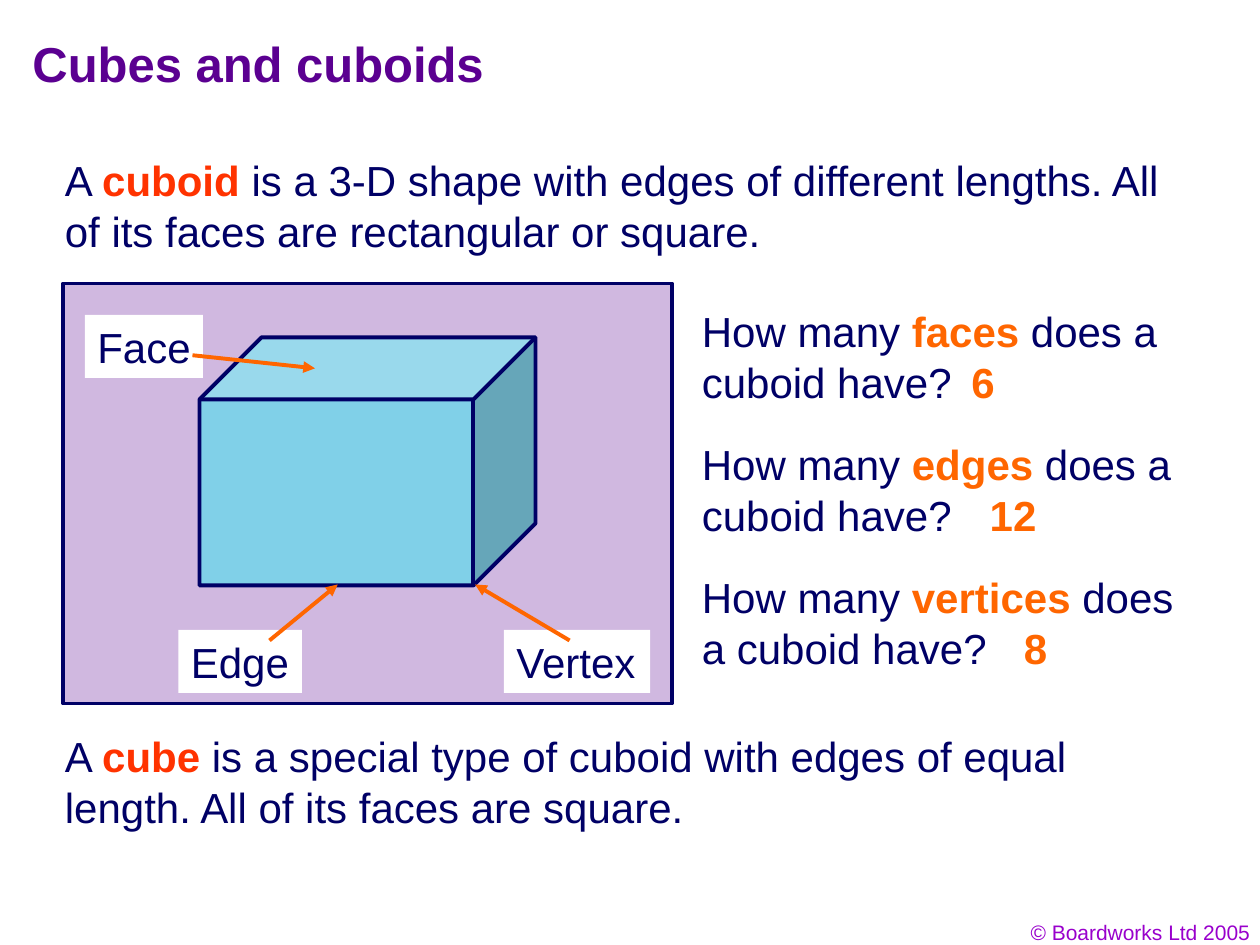
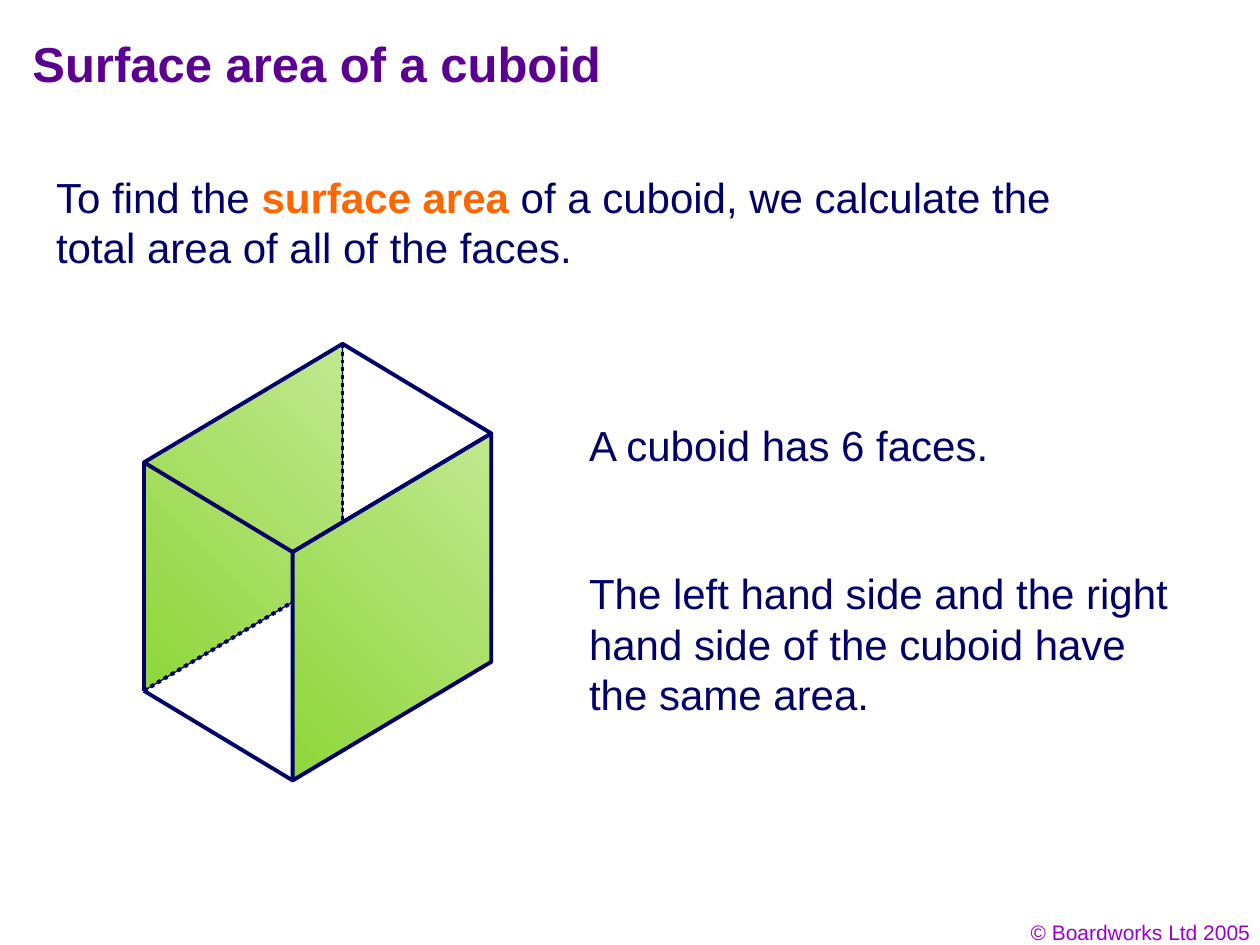
import pptx
import pptx.dml.color
import pptx.enum.dml
import pptx.enum.shapes
import pptx.enum.text
import pptx.oxml
import pptx.oxml.ns
import pptx.util
from pptx.util import Pt

NAVY = "000066"
PURPLE = "5B0091"
VIOLET = "9900CC"
RED = "FF3300"
ORANGE = "FF6600"
LILAC = "D0B8E0"
SKY = "80D0E8"
WHITE = "FFFFFF"
LIGHT_GREEN = "C0E890"
GREEN = "8FD63A"

ALIGN = pptx.enum.text.PP_ALIGN
ANCHOR = pptx.enum.text.MSO_ANCHOR
SHAPE = pptx.enum.shapes.MSO_SHAPE


def rgb(value):
    return pptx.dml.color.RGBColor.from_string(value)


def add_text(s, text, x, y, w, h, size=24, color=NAVY, bold=False, accent=ORANGE,
             align=ALIGN.LEFT, anchor=ANCHOR.TOP, wrap=True, fill=None):
    """Add a text block; words between asterisks are bold in the accent colour."""
    box = (Pt(x), Pt(y), Pt(w), Pt(h))
    if fill:
        sp = s.shapes.add_shape(SHAPE.RECTANGLE, *box)
        style_shape(sp, fill)
    else:
        sp = s.shapes.add_textbox(*box)
    tf = sp.text_frame
    tf.word_wrap = wrap
    tf.vertical_anchor = anchor
    p = tf.paragraphs[0]
    p.alignment = align
    for i, part in enumerate(text.split("*")):
        if not part:
            continue
        marked = i % 2 == 1
        r = p.add_run()
        r.text = part
        r.font.name = "Arial"
        r.font.size = Pt(size)
        r.font.bold = bold or marked
        r.font.color.rgb = rgb(accent if marked else color)


def style_shape(sp, fill=None, line=None, weight=2.25):
    """Set a plain fill, a two-colour gradient (a pair of colours) or no fill."""
    sp.shadow.inherit = False
    if fill is None:
        sp.fill.background()
    elif isinstance(fill, tuple):
        sp.fill.gradient()
        sp.fill.gradient_angle = 225
        for stop, color in zip(sp.fill.gradient_stops, fill):
            stop.color.rgb = rgb(color)
    else:
        sp.fill.solid()
        sp.fill.fore_color.rgb = rgb(fill)
    if line:
        sp.line.color.rgb = rgb(line)
        sp.line.width = Pt(weight)
    else:
        sp.line.fill.background()


def add_preset(s, kind, x, y, w, h, fill):
    sp = s.shapes.add_shape(kind, Pt(x), Pt(y), Pt(w), Pt(h))
    style_shape(sp, fill, NAVY)


def add_polygon(s, points, fill=None, weight=2.25):
    corners = [(Pt(x), Pt(y)) for x, y in points]
    builder = s.shapes.build_freeform(*corners[0])
    builder.add_line_segments(corners[1:], close=True)
    style_shape(builder.convert_to_shape(), fill, NAVY, weight)


def add_line(s, start, end, color=NAVY, dotted=False, arrow=False):
    cx = s.shapes.add_connector(pptx.enum.shapes.MSO_CONNECTOR.STRAIGHT,
                                *(Pt(v) for v in (*start, *end)))
    cx.line.color.rgb = rgb(color)
    cx.line.width = Pt(2.25)
    if dotted:
        cx.line.dash_style = pptx.enum.dml.MSO_LINE.ROUND_DOT
    if arrow:
        tail = pptx.oxml.parse_xml(
            f'<a:tailEnd {pptx.oxml.ns.nsdecls("a")} type="triangle"/>')
        cx.line._get_or_add_ln().append(tail)
    effects = pptx.oxml.parse_xml(f'<a:effectLst {pptx.oxml.ns.nsdecls("a")}/>')
    cx._element.spPr.append(effects)


def add_slide(prs, title):
    """Add a blank slide with the shared title and copyright line."""
    s = prs.slides.add_slide(prs.slide_layouts[6])
    add_text(s, "© Boardworks Ltd 2005", 553.5, 522, 168, 21.75, size=12,
             color=VIOLET, align=ALIGN.RIGHT)
    add_text(s, title, 11.5, 11.5, 579, 49.5, size=28, color=PURPLE, bold=True,
             anchor=ANCHOR.MIDDLE)
    return s


def add_cubes_slide(prs):
    s = add_slide(prs, "Cubes and cuboids")
    add_text(s, "A *cuboid* is a 3-D shape with edges of different lengths. "
             "All of its faces are rectangular or square.",
             30, 85, 666, 65, accent=RED)
    add_preset(s, SHAPE.RECTANGLE, 36, 162, 348, 240, LILAC)
    add_preset(s, SHAPE.CUBE, 114, 192.75, 192, 141.75, SKY)

    labels = [
        ("Face", 48.5, 180, 67.5, (110, 203), (180, 210.5)),
        ("Edge", 102, 360, 70.5, (154, 366), (193, 334)),
        ("Vertex", 288, 360, 83.5, (325.5, 366), (271.5, 334)),
    ]
    for name, x, y, w, start, end in labels:
        add_text(s, name, x, y, w, 36, wrap=False, fill=WHITE)
        add_line(s, start, end, ORANGE, arrow=True)

    questions = [("faces", "6", 548), ("edges", "12", 558.5), ("vertices", "8", 578)]
    for i, (part, answer, x) in enumerate(questions):
        y = 171.25 + 76 * i
        add_text(s, f"How many *{part}* does a cuboid have?", 394, y, 302, 65)
        add_text(s, f"*{answer}*", x, y + 28.75, 41, 36, wrap=False)

    add_text(s, "A *cube* is a special type of cuboid with edges of equal length. "
             "All of its faces are square.", 30, 414, 639, 65, accent=RED)


def cuboid_corner(across, back, down):
    """Return a corner of the open cuboid; each argument is 0 or 1."""
    return (82.25 + 85 * across + 113.5 * back,
            264.25 + 51.25 * across - 67.75 * back + 130.5 * down)


def side_face(across):
    return [cuboid_corner(across, back, down)
            for back, down in ((1, 0), (0, 0), (0, 1), (1, 1))]


def add_surface_area_slide(prs):
    s = add_slide(prs, "Surface area of a cuboid")
    greens = (LIGHT_GREEN, GREEN)
    add_polygon(s, side_face(0), greens, weight=0.75)
    add_line(s, cuboid_corner(0, 0, 1), cuboid_corner(1, 0, 1))
    add_line(s, cuboid_corner(0, 0, 0), cuboid_corner(0, 0, 1))
    add_polygon(s, [cuboid_corner(across, back, 0)
                    for across, back in ((0, 1), (0, 0), (1, 0), (1, 1))])
    hidden_corner = cuboid_corner(0, 1, 1)
    for neighbour in ((1, 1, 1), (0, 0, 1), (0, 1, 0)):
        add_line(s, cuboid_corner(*neighbour), hidden_corner, dotted=True)
    add_polygon(s, side_face(1), greens)

    add_text(s, "To find the *surface area* of a cuboid, we calculate the total area "
             "of all of the faces.", 25, 94.25, 621, 65)
    add_text(s, "A cuboid has 6 faces.", 329.5, 236, 325, 36)
    add_text(s, "The left hand side and the right hand side of the cuboid have "
             "the same area.", 329.5, 321, 353.5, 94)


def main():
    prs = pptx.Presentation()
    prs.slide_width = Pt(720)
    prs.slide_height = Pt(540)
    add_cubes_slide(prs)
    add_surface_area_slide(prs)
    prs.save("out.pptx")


if __name__ == "__main__":
    main()
